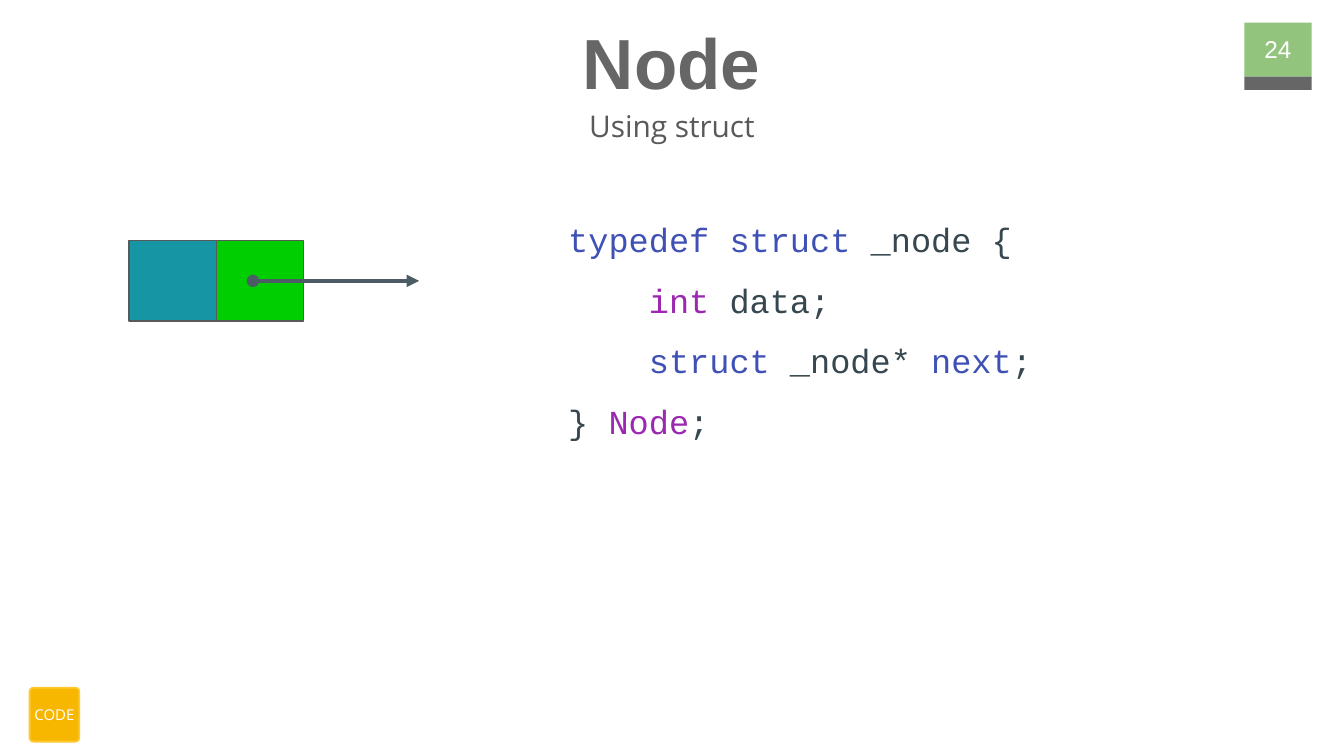
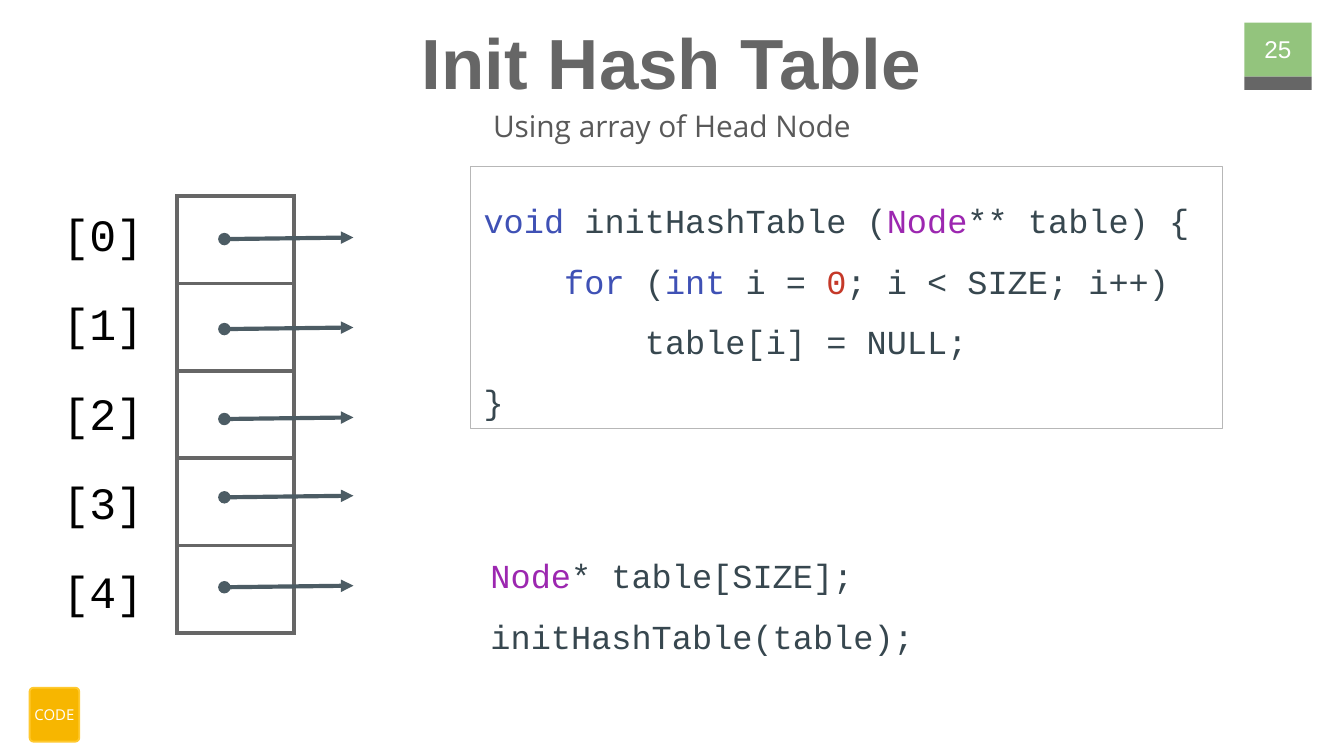
from dataclasses import dataclass
from typing import NamedTuple

import pptx
import pptx.dml.color
import pptx.enum.shapes
import pptx.enum.text
import pptx.oxml.ns
import pptx.util
from lxml import etree

Cm = pptx.util.Cm
Pt = pptx.util.Pt
Align = pptx.enum.text.PP_ALIGN
Anchor = pptx.enum.text.MSO_ANCHOR
Preset = pptx.enum.shapes.MSO_SHAPE


@dataclass(frozen=True)
class Theme:
    """Colours, fonts and sizes used on every slide."""
    white: str = "FFFFFF"
    black: str = "000000"
    grey: str = "666666"
    dark_grey: str = "595959"
    frame: str = "B7B7B7"
    green: str = "93C47D"
    badge: str = "F7B600"
    badge_line: str = "FFC92F"
    data_cell: str = "1695A4"
    next_cell: str = "00CE00"
    arrow: str = "4C5C64"
    plain: str = "37474F"
    keyword: str = "3F51B5"
    type_name: str = "9C27B0"
    number: str = "C53929"
    heading_font: str = "Arial"
    body_font: str = "Open Sans"
    code_font: str = "Courier New"
    title_size: float = 38
    subtitle_size: float = 16
    page_size: float = 13
    badge_size: float = 8
    code_size: float = 18
    index_size: float = 24
    thin: float = 0.75
    thick: float = 2.25
    code_spacing: float = 1.5


THEME = Theme()


class Box(NamedTuple):
    """Place and size in centimetres."""
    left: float
    top: float
    width: float
    height: float

    def lengths(self) -> list:
        return [Cm(value) for value in self]


class Token(NamedTuple):
    text: str
    color: str = THEME.plain


class CodeLine(NamedTuple):
    level: int
    tokens: list


def keyword(text: str) -> Token:
    return Token(text, THEME.keyword)


def type_name(text: str) -> Token:
    return Token(text, THEME.type_name)


NODE_CODE = [
    CodeLine(0, [keyword("typedef struct"), Token(" _node {")]),
    CodeLine(1, [type_name("int "), Token("data;")]),
    CodeLine(1, [keyword("struct"), Token(" _node* "), keyword("next"), Token(";")]),
    CodeLine(0, [Token("} "), type_name("Node"), Token(";")]),
]
INIT_CODE = [
    CodeLine(0, [keyword("void"), Token(" initHashTable ("), type_name("Node"),
                 Token("** table) {")]),
    CodeLine(1, [keyword("for"), Token(" ("), keyword("int"), Token(" i = "),
                 Token("0", THEME.number), Token("; i < SIZE; i++)")]),
    CodeLine(2, [Token("table[i] = NULL;")]),
    CodeLine(0, [Token("}")]),
]
CALL_CODE = [
    CodeLine(0, [type_name("Node"), Token("* table[SIZE];")]),
    CodeLine(0, [Token("initHashTable(table);")]),
]


def rgb(color: str) -> pptx.dml.color.RGBColor:
    return pptx.dml.color.RGBColor.from_string(color)


# Text
def add_text(paragraph, text: str, *, size: float, color: str, font: str,
             bold: bool = False, align=None) -> None:
    run = paragraph.add_run()
    run.text = text
    run.font.size = Pt(size)
    run.font.name = font
    run.font.bold = bold
    run.font.color.rgb = rgb(color)
    if align is not None:
        paragraph.alignment = align


def prepare_frame(shape, *, anchor=Anchor.TOP, margin: float = 0.25):
    frame = shape.text_frame
    frame.word_wrap = True
    frame.auto_size = pptx.enum.text.MSO_AUTO_SIZE.NONE
    frame.vertical_anchor = anchor
    frame.margin_left = frame.margin_right = Cm(margin)
    frame.margin_top = frame.margin_bottom = Cm(margin)
    return frame


def add_label(slide, box: Box, text: str, **text_format) -> None:
    shape = slide.shapes.add_textbox(*box.lengths())
    frame = prepare_frame(shape, anchor=Anchor.MIDDLE)
    add_text(frame.paragraphs[0], text, align=Align.CENTER, **text_format)


def fill_placeholder(shape, box: Box, text: str, **text_format):
    shape.left, shape.top, shape.width, shape.height = box.lengths()
    frame = prepare_frame(shape)
    add_text(frame.paragraphs[0], text, align=Align.CENTER, **text_format)
    return frame


def write_code(shape, lines: list) -> None:
    frame = prepare_frame(shape)
    indent = Pt(4 * 0.6 * THEME.code_size)  # four monospaced characters
    for position, line in enumerate(lines):
        paragraph = frame.add_paragraph() if position else frame.paragraphs[0]
        paragraph.line_spacing = THEME.code_spacing
        paragraph._p.get_or_add_pPr().set("marL", str(line.level * indent))
        for token in line.tokens:
            add_text(paragraph, token.text, size=THEME.code_size, color=token.color,
                     font=THEME.code_font, align=Align.LEFT)


# Shapes
def add_block(slide, box: Box, *, fill: str | None = None, line: str | None = None,
              width: float = THEME.thin, preset=Preset.RECTANGLE):
    shape = slide.shapes.add_shape(preset, *box.lengths())
    shape.shadow.inherit = False
    if fill:
        shape.fill.solid()
        shape.fill.fore_color.rgb = rgb(fill)
    else:
        shape.fill.background()
    if line:
        shape.line.color.rgb = rgb(line)
        shape.line.width = Pt(width)
    else:
        shape.line.fill.background()
    return shape


def add_child(parent, tag: str, **attributes):
    return etree.SubElement(parent, pptx.oxml.ns.qn(tag), attributes)


def add_pointer(slide, left: float, right: float, top: float, rise: float = 0) -> None:
    ends = [Cm(value) for value in (left, top, right, top - rise)]
    pointer = slide.shapes.add_connector(pptx.enum.shapes.MSO_CONNECTOR.STRAIGHT, *ends)
    pointer.line.color.rgb = rgb(THEME.arrow)
    pointer.line.width = Pt(THEME.thick)
    line = pointer.line._get_or_add_ln()
    add_child(line, "a:headEnd", type="oval")
    add_child(line, "a:tailEnd", type="triangle")
    add_child(pointer._element.spPr, "a:effectLst")


def add_array(slide, box: Box, rows: int) -> None:
    frame = slide.shapes.add_table(rows, 1, *box.lengths())
    table = frame.table
    table.first_row = table.horz_banding = False
    for row in table.rows:
        cell = row.cells[0]
        properties = cell._tc.get_or_add_tcPr()
        for side in ("lnL", "lnR", "lnT", "lnB"):
            border = add_child(properties, f"a:{side}", w=str(Pt(THEME.thick)))
            fill = add_child(border, "a:solidFill")
            add_child(fill, "a:srgbClr", val=THEME.grey)
        cell.fill.background()


# Slides
def add_base_slide(presentation, title: str, subtitle: str, page: int):
    slide = presentation.slides.add_slide(presentation.slide_layouts[0])
    # Page marker and corner badge
    add_block(slide, Box(23.52, 0.43, 1.27, 1.02), fill=THEME.green)
    add_block(slide, Box(23.52, 1.45, 1.27, 0.25), fill=THEME.grey)
    badge = add_block(slide, Box(0.56, 13, 0.94, 1.02), fill=THEME.badge,
                      line=THEME.badge_line, width=1, preset=Preset.ROUNDED_RECTANGLE)
    badge.adjustments[0] = 0.08
    frame = prepare_frame(badge, anchor=Anchor.MIDDLE, margin=0)
    add_text(frame.paragraphs[0], "CODE", size=THEME.badge_size, color=THEME.white,
             font=THEME.body_font, align=Align.CENTER)
    # Headings
    fill_placeholder(slide.shapes.title, Box(0.86, 0.1, 23.67, 1.6), title,
                     size=THEME.title_size, color=THEME.grey,
                     font=THEME.heading_font, bold=True)
    frame = fill_placeholder(slide.placeholders[1], Box(6.25, 1.68, 12.9, 1.09), subtitle,
                             size=THEME.subtitle_size, color=THEME.dark_grey,
                             font=THEME.body_font)
    paragraph = frame.paragraphs[0]
    paragraph.line_spacing = 1.15
    paragraph.space_before = Pt(0)
    paragraph.space_after = Pt(16)
    add_label(slide, Box(23.39, 0.38, 1.52, 1.09), str(page), size=THEME.page_size,
              color=THEME.white, font=THEME.heading_font)
    return slide


def build_node_slide(presentation) -> None:
    slide = add_base_slide(presentation, "Node", "Using struct", 24)
    cell_width = 1.65
    for column, color in enumerate((THEME.data_cell, THEME.next_cell)):
        add_block(slide, Box(2.44 + column * cell_width, 4.55, cell_width, 1.52),
                  fill=color, line=THEME.dark_grey)
    add_pointer(slide, 4.78, 7.92, 5.31)
    code = slide.shapes.add_textbox(*Box(10.49, 3.51, 12.27, 10.29).lengths())
    write_code(code, NODE_CODE)


def build_hash_table_slide(presentation) -> None:
    slide = add_base_slide(presentation, "Init Hash Table", "Using array of Head Node", 25)
    call = slide.shapes.add_textbox(*Box(9.02, 9.86, 12.27, 2.72).lengths())
    write_code(call, CALL_CODE)
    # Array of head pointers
    pointer_tops = (4.52, 6.22, 7.92, 9.4, 11.1)
    size = len(pointer_tops)
    add_array(slide, Box(3.35, 3.71, 2.21, 1.65 * size), size)
    for index, top in enumerate(pointer_tops):
        add_label(slide, Box(0.84, 3.61 + index * 1.69, 2.21, 1.6), f"[{index}]",
                  size=THEME.index_size, color=THEME.black, font=THEME.code_font)
        add_pointer(slide, 4.24, 6.68, top, rise=0.03)
    # Framed function
    function = add_block(slide, Box(8.89, 3.15, 14.22, 4.95), line=THEME.frame)
    write_code(function, INIT_CODE)


def main() -> None:
    presentation = pptx.Presentation()
    presentation.slide_width = Cm(25.4)
    presentation.slide_height = Cm(14.29)
    build_node_slide(presentation)
    build_hash_table_slide(presentation)
    presentation.save("out.pptx")


if __name__ == "__main__":
    main()
